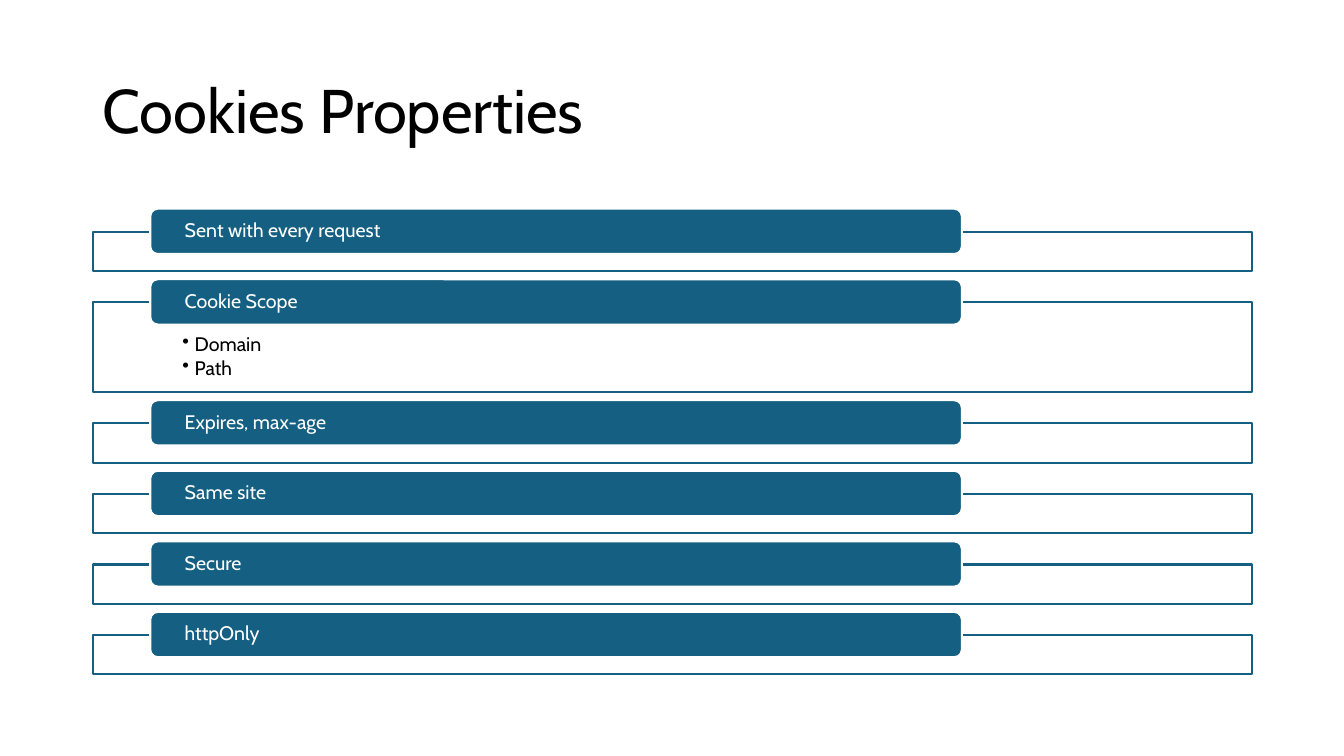
from lxml.etree import SubElement
from pptx import Presentation
from pptx.dml.color import RGBColor
from pptx.enum.shapes import MSO_SHAPE
from pptx.enum.text import MSO_ANCHOR, PP_ALIGN
from pptx.oxml.ns import qn
from pptx.util import Inches, Pt

COLOURS = {"blue": "156082", "white": "FFFFFF", "black": "000000"}
PROPERTIES = [
    ("Sent with every request", []),
    ("Cookie Scope", ["Domain", "Path"]),
    ("Expires, max-age", []),
    ("Same site", []),
    ("Secure", []),
    ("httpOnly", []),
]
LEFT, WIDTH = 0.92, 11.5
FIRST_TOP, FRAME_OFFSET, GAP = 2.07, 0.23, 0.08


class CookieSlide:
    """Holds the text style and the current page, and adds its elements."""

    def __init__(self, page, font="Cabin", size=14):
        self.page = page
        self.font = font
        self.size = size

    def colour(self, name):
        return RGBColor.from_string(COLOURS[name])

    def style(self, para, colour, size, space_after=0):
        para.alignment = PP_ALIGN.LEFT
        para.line_spacing = 0.9
        para.space_after = Pt(space_after)
        para.font.name = self.font
        para.font.size = Pt(size)
        para.font.color.rgb = self.colour(colour)

    def title(self, text):
        title = self.page.shapes.title
        title.left, title.top = Inches(LEFT), Inches(0.4)
        title.width, title.height = Inches(WIDTH), Inches(1.45)
        title.text_frame.text = text
        title.text_frame.vertical_anchor = MSO_ANCHOR.MIDDLE
        self.style(title.text_frame.paragraphs[0], "black", 44)

    def box(self, kind, left, top, width, height, fill, line):
        box = self.page.shapes.add_shape(
            kind, Inches(left), Inches(top), Inches(width), Inches(height))
        box.shadow.inherit = False
        box.fill.solid()
        box.fill.fore_color.rgb = self.colour(fill)
        box.line.color.rgb = self.colour(line)
        box.line.width = Pt(1.5)
        return box

    def margins(self, box, side, top, bottom):
        frame = box.text_frame
        frame.word_wrap = True
        frame.margin_left = frame.margin_right = Inches(side)
        frame.margin_top, frame.margin_bottom = Inches(top), Inches(bottom)
        return frame

    def frame(self, top, height, details):
        box = self.box(MSO_SHAPE.RECTANGLE, LEFT, top, WIDTH, height, "white", "blue")
        solid = box.fill.fore_color._xFill
        SubElement(solid[0], qn("a:alpha"), val="90000")
        if details:
            frame = self.margins(box, 0.89, 0.32, 0.11)
            frame.vertical_anchor = MSO_ANCHOR.TOP
            frame.text = "\n".join(details)
            for para in frame.paragraphs:
                self.bullet(para)

    def bullet(self, para):
        para.level = 1
        self.style(para, "black", self.size, 2)
        properties = para._p.get_or_add_pPr()
        properties.set("marL", str(Inches(0.12)))
        properties.set("indent", str(Inches(-0.12)))
        SubElement(properties, qn("a:buChar"), char="•").getparent().append(
            properties.find(qn("a:defRPr")))

    def label(self, top, text):
        box = self.box(MSO_SHAPE.ROUNDED_RECTANGLE, 1.49, top, 8.05, 0.45, "blue", "white")
        frame = self.margins(box, 0.32, 0, 0)
        frame.vertical_anchor = MSO_ANCHOR.MIDDLE
        frame.text = text
        self.style(frame.paragraphs[0], "white", self.size)


def main():
    """Build and save the cookie properties slide."""
    deck = Presentation()
    deck.slide_width, deck.slide_height = Inches(13.33), Inches(7.5)
    slide = CookieSlide(deck.slides.add_slide(deck.slide_layouts[5]))
    slide.title("Cookies Properties")
    top = FIRST_TOP
    for name, details in PROPERTIES:
        height = 0.89 if details else 0.39
        slide.frame(top + FRAME_OFFSET, height, details)
        slide.label(top, name)
        top += FRAME_OFFSET + height + GAP
    deck.save("out.pptx")


if __name__ == "__main__":
    main()
